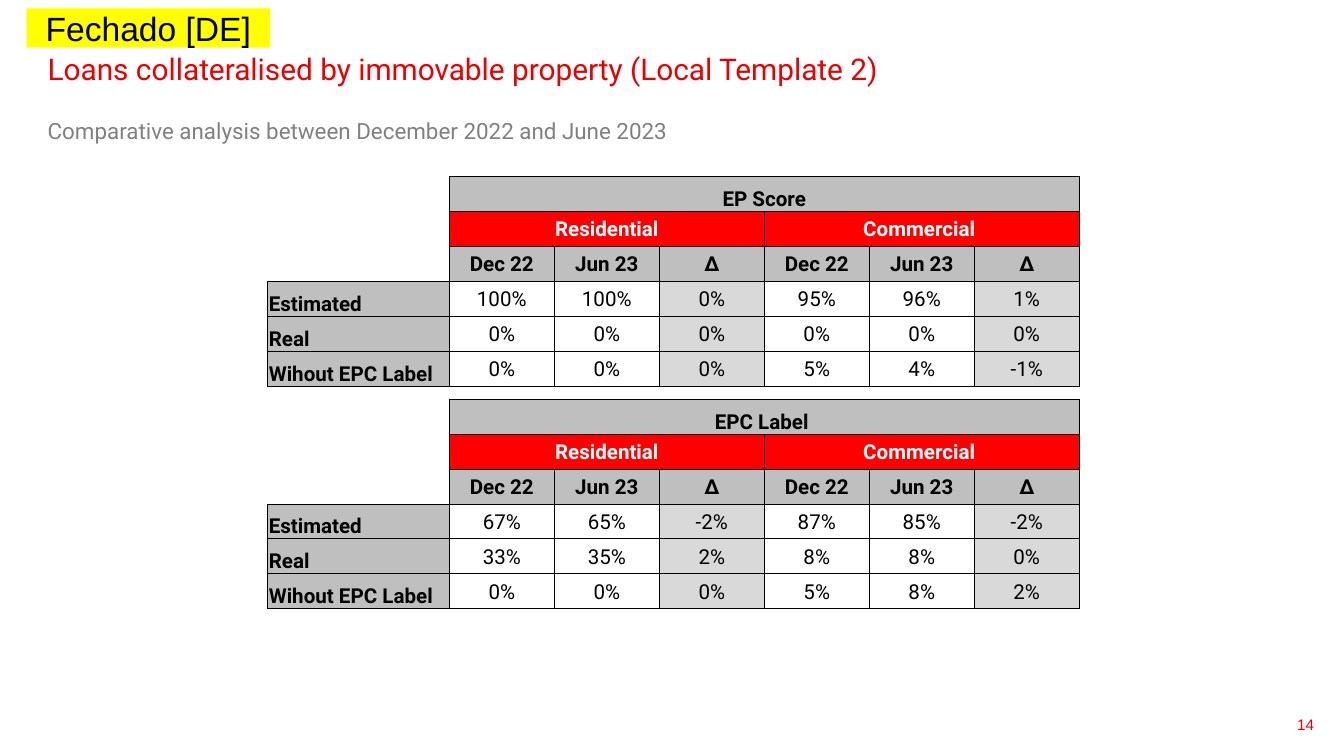
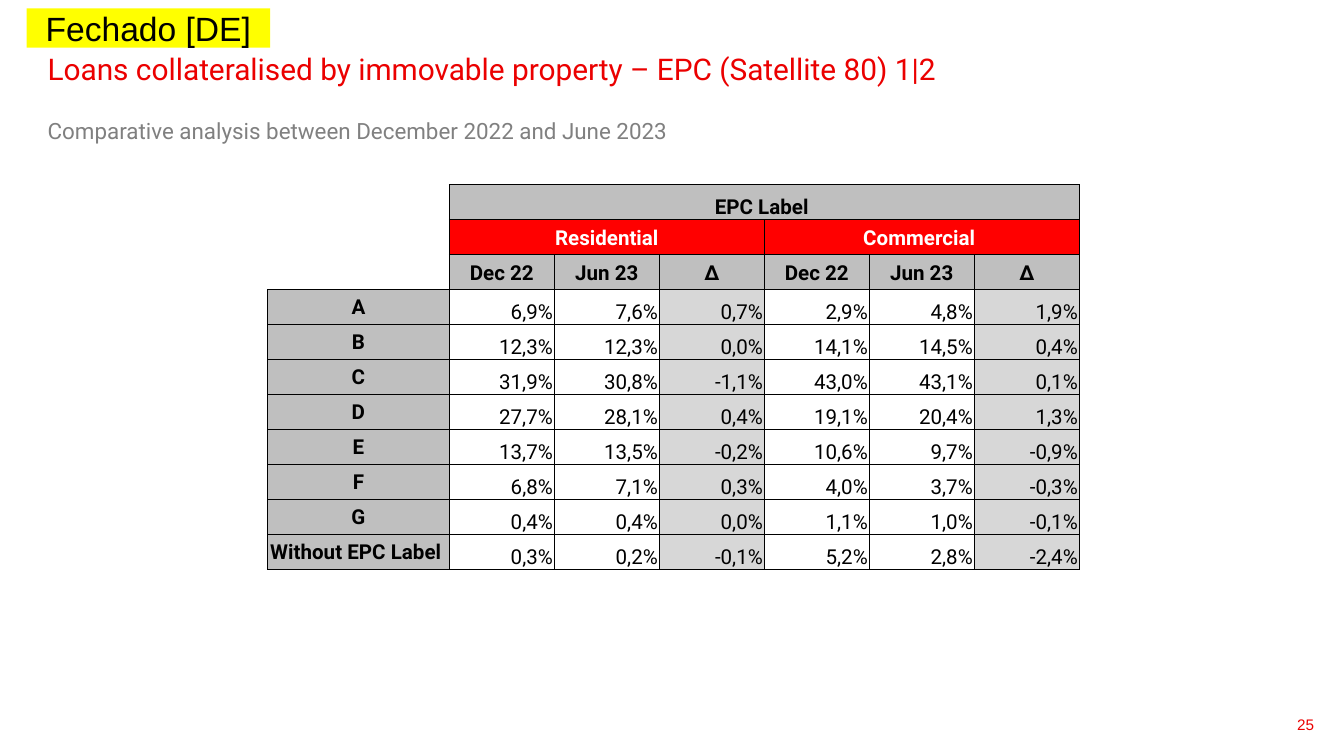
from lxml.etree import SubElement
from pptx import Presentation
from pptx.dml.color import RGBColor
from pptx.enum.shapes import MSO_SHAPE
from pptx.enum.text import MSO_ANCHOR as ANCHOR, PP_ALIGN as ALIGN
from pptx.oxml.ns import qn
from pptx.util import Pt

PX = 9525
BLACK, WHITE, YELLOW = "000000", "FFFFFF", "FFFF00"
TITLE_RED, BAND_RED = "EB0000", "FF0000"
SUBTITLE_GREY, HEADER_GREY = "808080", "BFBFBF"
NO_STYLE = "{2D5ABB26-0587-4C30-8999-92F81FD0307C}"

TABLE_LEFT, LABEL_WIDTH, VALUE_WIDTH, ROW_HEIGHT = 191, 130, 75, 25
HEADERS = [
    ["", "Residential", "", "", "Commercial ", "", ""],
    ["", "Dec 22", "Jun 23", "∆", "Dec 22", "Jun 23", "∆"],
]
LEFT_LABELS = {"label": (ALIGN.LEFT, ANCHOR.BOTTOM),
               "value": (ALIGN.CENTER, ANCHOR.MIDDLE), "delta": "D9D9D9"}
CENTRED_LABELS = {"label": (ALIGN.CENTER, ANCHOR.MIDDLE),
                  "value": (ALIGN.RIGHT, ANCHOR.BOTTOM), "delta": "D7D7D7"}

SLIDES = [
    ("Loans collateralised by immovable property (Local Template 2)", "14", LEFT_LABELS, [
        ("EPC Label ", 285, [
            ["Estimated", "67%", "65%", "-2%", "87%", "85%", "-2%"],
            ["Real", "33%", "35%", "2%", "8%", "8%", "0%"],
            ["Wihout EPC Label", "0%", "0%", "0%", "5%", "8%", "2%"],
        ]),
        ("EP Score", 126, [
            ["Estimated", "100%", "100%", "0%", "95%", "96%", "1%"],
            ["Real", "0%", "0%", "0%", "0%", "0%", "0%"],
            ["Wihout EPC Label", "0%", "0%", "0%", "5%", "4%", "-1%"],
        ]),
    ]),
    ("Loans collateralised by immovable property – EPC (Satellite 80) 1|2", "25", CENTRED_LABELS, [
        ("EPC Label ", 132, [
            ["A", "6,9%", "7,6%", "0,7%", "2,9%", "4,8%", "1,9%"],
            ["B", "12,3%", "12,3%", "0,0%", "14,1%", "14,5%", "0,4%"],
            ["C", "31,9%", "30,8%", "-1,1%", "43,0%", "43,1%", "0,1%"],
            ["D", "27,7%", "28,1%", "0,4%", "19,1%", "20,4%", "1,3%"],
            ["E", "13,7%", "13,5%", "-0,2%", "10,6%", "9,7%", "-0,9%"],
            ["F", "6,8%", "7,1%", "0,3%", "4,0%", "3,7%", "-0,3%"],
            ["G", "0,4%", "0,4%", "0,0%", "1,1%", "1,0%", "-0,1%"],
            ["Without EPC Label ", "0,3%", "0,2%", "-0,1%", "5,2%", "2,8%", "-2,4%"],
        ]),
    ]),
]


def add_run(paragraph, text, size, color, font="Roboto", bold=False):
    run = paragraph.add_run()
    run.text = text
    run.font.size, run.font.name, run.font.bold = Pt(size), font, bold
    run.font.color.rgb = RGBColor.from_string(color)


def set_borders(cell, edges):
    """Rule the listed edges (L, R, T, B) in black and clear the others."""
    properties = cell._tc.get_or_add_tcPr()
    for position, edge in enumerate("LRTB"):
        line = SubElement(properties, qn(f"a:ln{edge}"), w=str(Pt(0.5)))
        if edge in edges:
            SubElement(SubElement(line, qn("a:solidFill")), qn("a:srgbClr"), val=BLACK)
        else:
            SubElement(line, qn("a:noFill"))
        properties.insert(position, line)


deck = Presentation()
deck.slide_width, deck.slide_height = 960 * PX, 540 * PX

for title, page, style, tables in SLIDES:
    slide = deck.slides.add_slide(deck.slide_layouts[6])

    number = slide.shapes.add_textbox(732 * PX, 506 * PX, 216 * PX, 29 * PX).text_frame
    number.word_wrap = True
    number.paragraphs[0].alignment = ALIGN.RIGHT
    add_run(number.paragraphs[0], page, 8.2, TITLE_RED, "Arial")

    heading = slide.shapes.add_textbox(34 * PX, 36 * PX, 892 * PX, 68 * PX).text_frame
    heading.word_wrap = True
    heading.margin_left = heading.margin_right = heading.margin_top = heading.margin_bottom = 0
    add_run(heading.paragraphs[0], title, 16, TITLE_RED)
    subtitle = heading.add_paragraph()
    subtitle.space_before = Pt(16.4)
    add_run(subtitle, "Comparative analysis between December 2022 and June 2023", 12, SUBTITLE_GREY)

    for caption, top, body in tables:
        rows = [["", caption, "", "", "", "", ""]] + HEADERS + body
        grid = slide.shapes.add_table(
            len(rows), 7, TABLE_LEFT * PX, top * PX,
            (LABEL_WIDTH + 6 * VALUE_WIDTH) * PX, len(rows) * ROW_HEIGHT * PX).table
        grid.first_row = grid.horz_banding = False
        grid._tbl.tblPr.find(qn("a:tableStyleId")).text = NO_STYLE
        for c, column in enumerate(grid.columns):
            column.width = (VALUE_WIDTH if c else LABEL_WIDTH) * PX
        for r, row in enumerate(rows):
            grid.rows[r].height = ROW_HEIGHT * PX
            for c, text in enumerate(row):
                cell = grid.cell(r, c)
                cell.margin_left = cell.margin_right = cell.margin_top = PX
                cell.margin_bottom = 0
                is_header, is_label = r < 3, c == 0
                if is_header:
                    align, anchor = ALIGN.CENTER, ANCHOR.MIDDLE if r else ANCHOR.BOTTOM
                else:
                    align, anchor = style["label" if is_label else "value"]

                fill = None
                if is_header and not is_label:
                    fill = BAND_RED if r == 1 else HEADER_GREY
                elif is_label and not is_header:
                    fill = HEADER_GREY
                elif c in (3, 6):
                    fill = style["delta"]
                if fill:
                    cell.fill.solid()
                    cell.fill.fore_color.rgb = RGBColor.from_string(fill)
                else:
                    cell.fill.background()

                if is_header and is_label:
                    set_borders(cell, "RB" if r == 2 else "R")
                else:
                    set_borders(cell, "LRTB")

                cell.vertical_anchor = anchor
                paragraph = cell.text_frame.paragraphs[0]
                paragraph.alignment = align
                if text:
                    add_run(paragraph, text, 11, WHITE if r == 1 else BLACK,
                            bold=is_header or is_label)
                else:
                    SubElement(paragraph._p, qn("a:endParaRPr"), sz="1100")
        for r, first, last in [(0, 1, 6), (1, 1, 3), (1, 4, 6)]:
            grid.cell(r, first).merge(grid.cell(r, last))

    status = slide.shapes.add_shape(MSO_SHAPE.RECTANGLE, 19 * PX, 6 * PX, 174 * PX, 28 * PX)
    status.shadow.inherit = False
    status.fill.solid()
    status.fill.fore_color.rgb = RGBColor.from_string(YELLOW)
    status.line.fill.background()
    status.text_frame.vertical_anchor = ANCHOR.MIDDLE
    status.text_frame.paragraphs[0].alignment = ALIGN.CENTER
    add_run(status.text_frame.paragraphs[0], "Fechado [DE]", 18, BLACK, "Arial")

deck.save("out.pptx")
